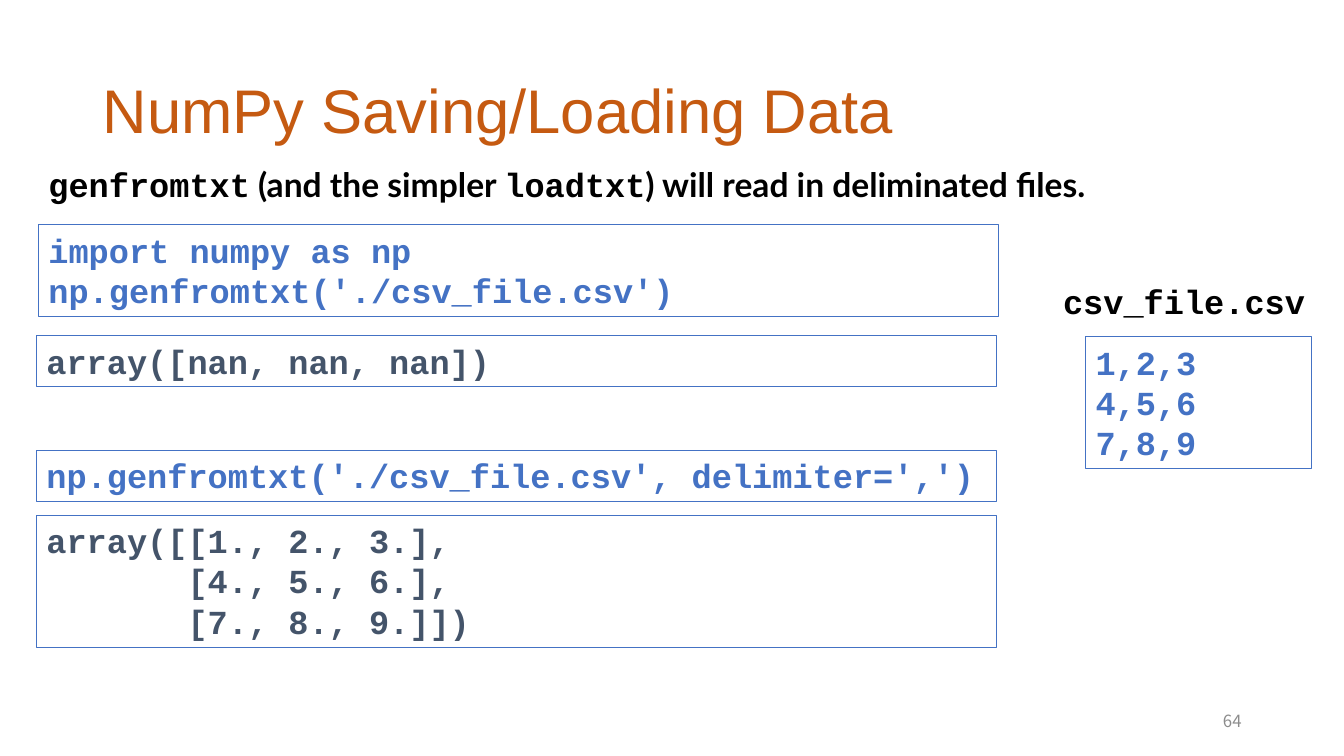
import pptx
import pptx.util
import pptx.dml.color
import pptx.enum.shapes
import pptx.enum.text

Cm = pptx.util.Cm
Pt = pptx.util.Pt
RGBColor = pptx.dml.color.RGBColor
Align = pptx.enum.text.PP_ALIGN
Anchor = pptx.enum.text.MSO_ANCHOR
AutoSize = pptx.enum.text.MSO_AUTO_SIZE

ORANGE = RGBColor(0xC5, 0x5A, 0x11)
BLUE = RGBColor(0x44, 0x72, 0xC4)
SLATE = RGBColor(0x44, 0x54, 0x6A)
BLACK = RGBColor(0, 0, 0)
GRAY = RGBColor(0x8C, 0x8C, 0x8C)

CODE = "Courier New"
PROSE = "Lato"


class SlideBuilder:
    title_format = {"name": "Arial", "size": Pt(44), "bold": False}
    text_format = {"name": CODE, "size": Pt(24), "bold": True}
    number_format = {"name": "Noto Sans CJK SC", "size": Pt(12), "bold": False}

    def __init__(self, presentation):
        self.slide = presentation.slides.add_slide(presentation.slide_layouts[5])

    def apply(self, target, values):
        for name, value in values.items():
            setattr(target, name, value)

    def format_font(self, font, values, color):
        self.apply(font, values)
        font.color.rgb = color

    def title(self, text, left, top, width, height):
        shape = self.slide.shapes.title
        self.apply(shape, {"left": Cm(left), "top": Cm(top),
                           "width": Cm(width), "height": Cm(height)})
        self.apply(shape.text_frame, {"text": text, "word_wrap": True,
                                      "vertical_anchor": Anchor.MIDDLE})
        paragraph = shape.text_frame.paragraphs[0]
        self.apply(paragraph, {"alignment": Align.LEFT, "line_spacing": 0.9})
        self.format_font(paragraph.runs[0].font, self.title_format, ORANGE)

    def code_box(self, lines, left, top, width, height, color):
        shape = self.slide.shapes.add_shape(
            pptx.enum.shapes.MSO_SHAPE.RECTANGLE,
            Cm(left), Cm(top), Cm(width), Cm(height))
        shape.shadow.inherit = False
        shape.fill.background()
        shape.line.color.rgb = BLUE
        shape.line.width = Pt(0.75)
        self.apply(shape.text_frame, {"text": "\n".join(lines), "word_wrap": True,
                                      "vertical_anchor": Anchor.TOP,
                                      "auto_size": AutoSize.SHAPE_TO_FIT_TEXT})
        for paragraph in shape.text_frame.paragraphs:
            paragraph.alignment = Align.LEFT
            self.format_font(paragraph.runs[0].font, self.text_format, color)

    def label(self, pieces, left, top, width, height, wrap=True):
        shape = self.slide.shapes.add_textbox(Cm(left), Cm(top), Cm(width), Cm(height))
        self.apply(shape.text_frame, {"word_wrap": wrap,
                                      "auto_size": AutoSize.SHAPE_TO_FIT_TEXT})
        paragraph = shape.text_frame.paragraphs[0]
        for text, font_name in pieces:
            run = paragraph.add_run()
            run.text = text
            self.format_font(run.font, {**self.text_format, "name": font_name}, BLACK)

    def page_number(self, text, left, top, width, height):
        shape = self.slide.shapes.add_textbox(Cm(left), Cm(top), Cm(width), Cm(height))
        self.apply(shape.text_frame, {"text": text, "word_wrap": True,
                                      "vertical_anchor": Anchor.MIDDLE})
        paragraph = shape.text_frame.paragraphs[0]
        paragraph.alignment = Align.RIGHT
        self.format_font(paragraph.runs[0].font, self.number_format, GRAY)


def main():
    presentation = pptx.Presentation()
    presentation.slide_width = Cm(33.87)
    presentation.slide_height = Cm(19.05)
    builder = SlideBuilder(presentation)

    builder.title("NumPy Saving/Loading Data", 2.33, 1.01, 29.21, 3.68)
    builder.label([("genfromtxt", CODE), (" (and the simpler ", PROSE), ("loadtxt", CODE),
                   (") will read in deliminated files.", PROSE)],
                  0.97, 4, 27, 1.28, wrap=False)

    builder.code_box(["import numpy as np", "np.genfromtxt('./csv_file.csv')"],
                     0.97, 5.67, 24.2, 2.31, BLUE)
    builder.code_box(["array([nan, nan, nan])"], 0.92, 8.46, 24.2, 1.28, SLATE)
    builder.code_box(["np.genfromtxt('./csv_file.csv', delimiter=',')"],
                     0.92, 11.35, 24.2, 1.28, BLUE)
    builder.code_box(["array([[1., 2., 3.],", "       [4., 5., 6.],", "       [7., 8., 9.]])"],
                     0.92, 12.98, 24.2, 3.33, SLATE)

    builder.label([("csv_file.csv", CODE)], 26.54, 6.96, 6.93, 1.28)
    builder.code_box(["1,2,3", "4,5,6", "7,8,9"], 27.36, 8.48, 5.7, 3.33, BLUE)
    builder.page_number("64", 23.92, 17.66, 7.62, 1.01)

    presentation.save("out.pptx")


if __name__ == "__main__":
    main()
